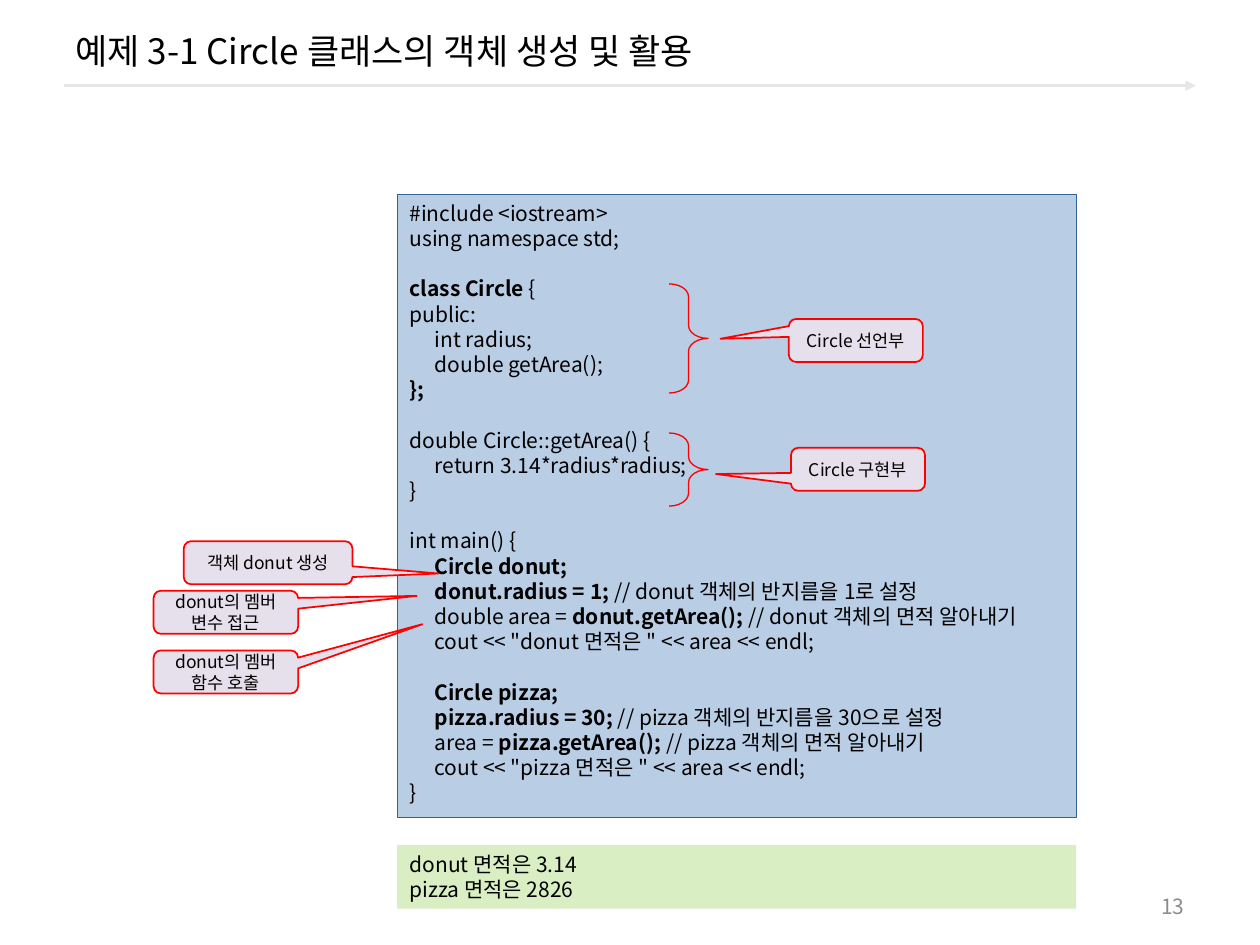
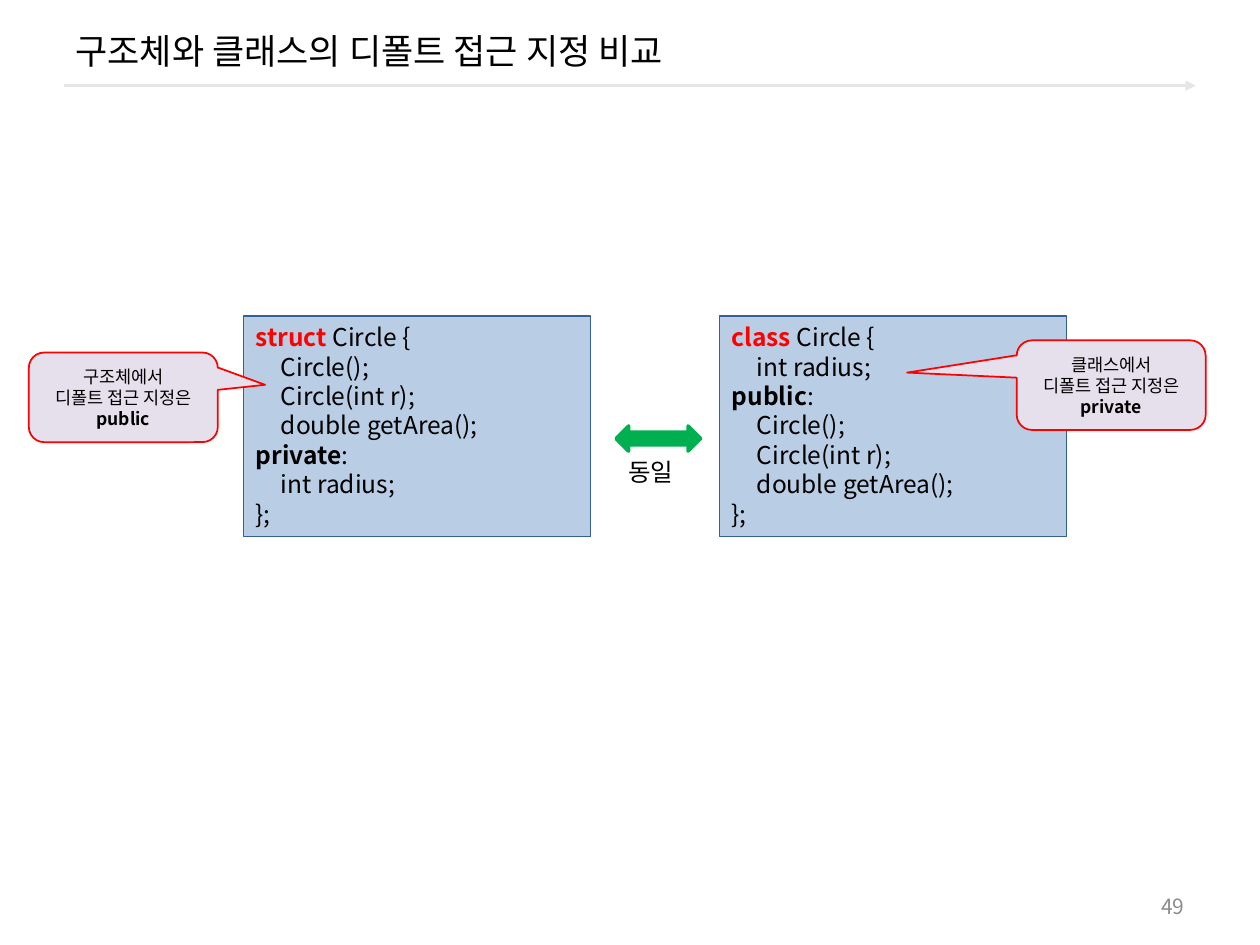
from pptx import Presentation
from pptx.dml.color import RGBColor
from pptx.enum.shapes import MSO_CONNECTOR, MSO_SHAPE
from pptx.enum.text import MSO_ANCHOR, PP_ALIGN
from pptx.oxml.ns import qn
from pptx.util import Pt
from lxml.etree import SubElement

FONT = "Noto Sans CJK KR"
BLACK = RGBColor(0x00, 0x00, 0x00)
GRAY = RGBColor(0x8C, 0x8C, 0x8C)
RULE = RGBColor(0xE6, 0xE6, 0xE6)
RED = RGBColor(0xFF, 0x00, 0x00)
BLUE = RGBColor(0xB9, 0xCD, 0xE5)
NAVY = RGBColor(0x37, 0x60, 0x92)
LILAC = RGBColor(0xE6, 0xE0, 0xEC)
LIME = RGBColor(0xDA, 0xEE, 0xC4)
GREEN = RGBColor(0x00, 0xB0, 0x50)

INDENT = "    "
TAB = Pt(14.4)
LINE = 1.2

MAIN = """#include <iostream>
using namespace std;

|class Circle |{
public:
    int radius;
    double getArea();
|};|

double Circle::getArea() {
    return 3.14*radius*radius;
}

int main() {
    |Circle donut;|
    |donut.radius = 1; |// donut 객체의 반지름을 1로 설정
    double area = |donut.getArea();| // donut 객체의 면적 알아내기
    cout << "donut 면적은 " << area << endl;

    |Circle pizza;|
    |pizza.radius = 30; |// pizza 객체의 반지름을 30으로 설정
    area = |pizza.getArea(); |// pizza 객체의 면적 알아내기
    cout << "pizza 면적은 " << area << endl;
}"""

CLASS = """|class| Circle {
    int radius;
|public|:
    Circle();
    Circle(int r);
    double getArea();
};"""

STRUCT = """|struct| Circle {
    Circle();
    Circle(int r);
    double getArea();
|private|:
    int radius;
};"""


def add_tab(para):
    tabs = SubElement(para._p.get_or_add_pPr(), qn("a:tabLst"))
    SubElement(tabs, qn("a:tab"), pos=str(TAB), algn="l")


def put(shape, text, size=12, color=BLACK, lead=None, align=PP_ALIGN.LEFT,
        anchor=MSO_ANCHOR.TOP):
    frame = shape.text_frame
    frame.word_wrap = True
    frame.vertical_anchor = anchor
    para, gap = None, 0
    for line in text.split("\n"):
        if not line:
            gap += size * LINE
            continue
        first = para is None
        para = frame.paragraphs[0] if first else frame.add_paragraph()
        para.alignment = align
        para.line_spacing = Pt(size * LINE)
        if gap:
            para.space_before = Pt(gap)
            gap = 0
        if line.startswith(INDENT):
            add_tab(para)
            line = line.replace(INDENT, "\t", 1)
        for i, part in enumerate(line.split("|")):
            if not part:
                continue
            run = para.add_run()
            run.text = part
            font = run.font
            font.size = Pt(size)
            font.name = FONT
            font.bold = i % 2 == 1
            font.color.rgb = lead if lead and first and font.bold else color
            SubElement(run._r.get_or_add_rPr(), qn("a:ea"), typeface=FONT)


def add_text(slide, box, text, **look):
    put(slide.shapes.add_textbox(*map(Pt, box)), text, **look)


def add_form(slide, kind, box, fill=None, line=None, width=0.75, adjust=()):
    shape = slide.shapes.add_shape(kind, *map(Pt, box))
    shape.shadow.inherit = False
    if fill:
        shape.fill.solid()
        shape.fill.fore_color.rgb = fill
    else:
        shape.fill.background()
    if line:
        shape.line.color.rgb = line
        shape.line.width = Pt(width)
    else:
        shape.line.fill.background()
    for i, value in enumerate(adjust):
        shape.adjustments[i] = value
    return shape


def add_code(slide, box, text, fill=BLUE, line=NAVY, **look):
    put(add_form(slide, MSO_SHAPE.RECTANGLE, box, fill, line), text, **look)


def add_call(slide, box, tip, text):
    shape = add_form(slide, MSO_SHAPE.ROUNDED_RECTANGULAR_CALLOUT, box,
                     LILAC, RED, 1, (*tip, 0.17))
    put(shape, text, size=10, align=PP_ALIGN.CENTER, anchor=MSO_ANCHOR.MIDDLE)


def add_brace(slide, top, height):
    add_form(slide, MSO_SHAPE.RIGHT_BRACE, (382.3, top, 22.3, height),
             line=RED, adjust=(0.33, 0.5))


def add_rule(slide):
    rule = slide.shapes.add_connector(
        MSO_CONNECTOR.STRAIGHT, Pt(36.7), Pt(49), Pt(683.3), Pt(49))
    rule.line.color.rgb = RULE
    rule.line.width = Pt(1.5)
    SubElement(rule.line._get_or_add_ln(), qn("a:tailEnd"), type="triangle")
    SubElement(rule._element.spPr, qn("a:effectLst"))


def add_page(deck, title, number):
    slide = deck.slides.add_slide(deck.slide_layouts[6])
    add_rule(slide)
    add_text(slide, (36, 5.8, 648, 46), title, size=20,
             anchor=MSO_ANCHOR.MIDDLE)
    add_text(slide, (516, 506, 168, 23), str(number), color=GRAY,
             align=PP_ALIGN.RIGHT, anchor=MSO_ANCHOR.MIDDLE)
    return slide


def add_usage(deck):
    slide = add_page(deck, "예제 3-1 Circle 클래스의 객체 생성 및 활용", 13)
    add_code(slide, (227, 111, 388, 356.2), MAIN)
    add_call(slide, (105, 309.3, 96.4, 24.6), (1.01, 0.25), "객체 donut 생성")
    for top, tip, part in ((337.6, (1.32, -0.38), "변수 접근"),
                           (371.7, (1.36, -1.11), "함수 호출")):
        add_call(slide, (87.8, top, 82.6, 24.6), tip, f"donut의 멤버 {part}")
    add_code(slide, (227, 483, 388, 36.2),
             "donut 면적은 3.14\npizza 면적은 2826", fill=LIME, line=None)
    add_call(slide, (450.8, 182.3, 76.6, 24.6), (-1.01, -0.04),
             "Circle 선언부")
    add_call(slide, (452, 255.9, 76.6, 24.6), (-1.06, 0.11),
             "Circle 구현부")
    add_brace(slide, 162.2, 62.4)
    add_brace(slide, 247.4, 41.8)


def add_match(deck):
    slide = add_page(deck, "구조체와 클래스의 디폴트 접근 지정 비교", 49)
    for left, text in ((411, CLASS), (139, STRUCT)):
        add_code(slide, (left, 180.5, 198.5, 126), text, size=14, lead=RED)
    for left, top, tip, name, word in (
            (581, 194.5, (-1.08, -0.14), "클래스", "private"),
            (16.5, 201.5, (0.75, -0.14), "구조체", "public")):
        add_call(slide, (left, top, 108, 51.2), tip,
                 f"{name}에서\n디폴트 접근 지정은 |{word}|")
    add_form(slide, MSO_SHAPE.LEFT_RIGHT_ARROW, (352, 243.4, 48.4, 14.4),
             GREEN, GREEN, 2)
    add_text(slide, (352, 257.8, 42.5, 24.2), "동일", size=14)


def main():
    deck = Presentation()
    deck.slide_width, deck.slide_height = Pt(720), Pt(540)
    add_usage(deck)
    add_match(deck)
    deck.save("out.pptx")


if __name__ == "__main__":
    main()
